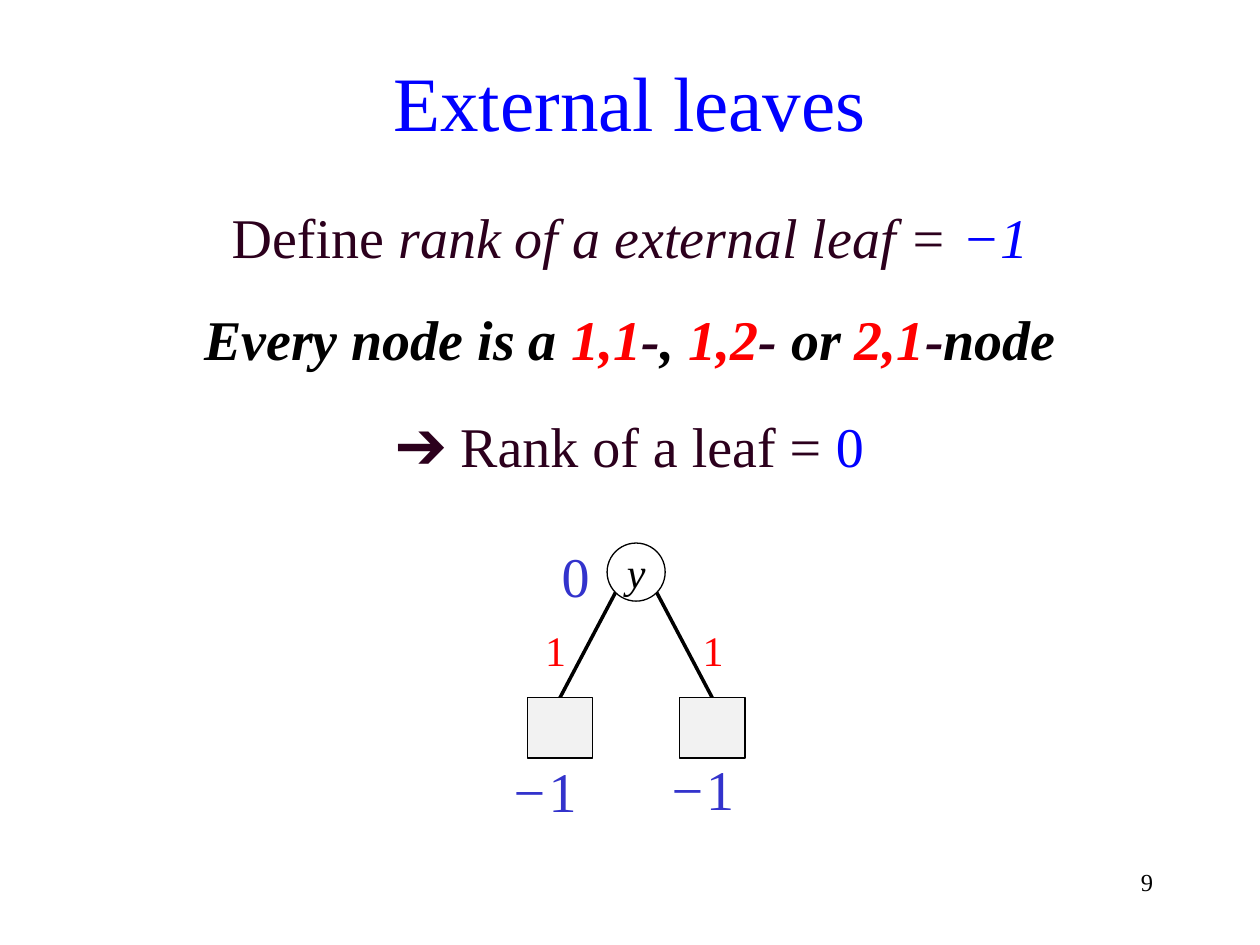
from lxml import etree
from pptx import Presentation
from pptx.dml.color import RGBColor
from pptx.enum import shapes, text
from pptx.oxml.ns import qn
from pptx.util import Pt

COLORS = {"blue": "0000FF", "plum": "2C001D", "black": "000000", "red": "FF0000",
          "rank": "3333CC", "leaf": "F2F2F2"}
FONT = "Times New Roman"
MIDDLE, TOP = text.MSO_ANCHOR.MIDDLE, text.MSO_ANCHOR.TOP
CENTER, RIGHT = text.PP_ALIGN.CENTER, text.PP_ALIGN.RIGHT

# Content: runs are (words, colour, style), style being any of "b" and "i"
STATEMENTS = [  # top, height, size, anchor, runs
    (24, 67.5, 44, MIDDLE, [("External leaves", "blue", "")]),
    (101, 67.5, 32, MIDDLE, [("Define ", "plum", ""),
                             ("rank of a external leaf = ", "plum", "i"),
                             ("−1", "blue", "i")]),
    (170.5, 46, 32, TOP, [("Every node is a ", "black", "bi"),
                          ("1,1", "red", "bi"), ("-", "plum", "bi"), (", ", "black", "bi"),
                          ("1,2", "red", "bi"), ("-", "plum", "bi"), (" or ", "black", "bi"),
                          ("2,1", "red", "bi"), ("-", "plum", "bi"), ("node", "black", "bi")]),
    (220.5, 67.5, 32, MIDDLE, [("➔ Rank of a leaf = ", "plum", ""), ("0", "blue", "")]),
]
MINUS_ONE = [("−", "rank", "i"), ("1", "rank", "")]
LABELS = [  # left, top, width, height, size, runs
    (308.5, 306, 41, 42, 32, [("0", "rank", "")]),
    (297, 353.5, 41, 32.5, 24, [("1", "red", "")]),
    (387, 353.5, 41, 32.5, 24, [("1", "red", "")]),
    (284.5, 428.5, 52.5, 42, 32, MINUS_ONE),
    (374.5, 427.5, 52.5, 42, 32, MINUS_ONE),
]
PAGE = [("9", "black", "")]

# Tree geometry
AXIS = 363.5
NODE_TOP, NODE_SIZE = 310.3, 33.2
LEAF_TOP, LEAF_W, LEAF_H = 398.7, 37.4, 34.5
LEAF_OFFSET = 43.5
EDGE_TOP, EDGE_OFFSET = 338.6, NODE_SIZE / 2 * 0.71

deck = Presentation()
deck.slide_width, deck.slide_height = Pt(720), Pt(540)
slide = deck.slides.add_slide(deck.slide_layouts[6])


def rgb(name):
    return RGBColor.from_string(COLORS[name])


def write(frame, runs, size, anchor=TOP, align=CENTER, **margins):
    settings = {"word_wrap": True, "vertical_anchor": anchor, **margins}
    for key, value in settings.items():
        setattr(frame, key, value)
    line = frame.paragraphs[0]
    line.alignment = align
    for words, color, style in runs:
        run = line.add_run()
        run.text = words
        formats = {"name": FONT, "size": Pt(size), "bold": "b" in style, "italic": "i" in style}
        for key, value in formats.items():
            setattr(run.font, key, value)
        run.font.color.rgb = rgb(color)


def add_text(left, top, width, height, size, runs, **options):
    box = slide.shapes.add_textbox(Pt(left), Pt(top), Pt(width), Pt(height))
    write(box.text_frame, runs, size, **options)


def add_outlined(kind, center, top, width, height, fill=None):
    shape = slide.shapes.add_shape(kind, Pt(center - width / 2), Pt(top), Pt(width), Pt(height))
    shape.shadow.inherit = False
    if fill:
        shape.fill.solid()
        shape.fill.fore_color.rgb = rgb(fill)
    else:
        shape.fill.background()
    shape.line.color.rgb = rgb("black")
    shape.line.width = Pt(0.75)
    return shape


# Title and statements
for top, height, size, anchor, runs in STATEMENTS:
    add_text(0, top, 720, height, size, runs, anchor=anchor)

# Root node
root = add_outlined(shapes.MSO_SHAPE.OVAL, AXIS, NODE_TOP, NODE_SIZE, NODE_SIZE)
write(root.text_frame, [("y", "black", "i")], 24, anchor=MIDDLE,
      margin_left=0, margin_right=0, margin_top=0, margin_bottom=0)

# Edges and external leaves, mirrored about the axis
for side in (-1, 1):
    leaf_center = AXIS + side * LEAF_OFFSET
    edge = slide.shapes.add_connector(
        shapes.MSO_CONNECTOR.STRAIGHT, Pt(AXIS + side * EDGE_OFFSET), Pt(EDGE_TOP),
        Pt(leaf_center), Pt(LEAF_TOP))
    edge.line.color.rgb = rgb("black")
    edge.line.width = Pt(2)
    etree.SubElement(edge._element.spPr, qn("a:effectLst"))
    add_outlined(shapes.MSO_SHAPE.RECTANGLE, leaf_center, LEAF_TOP, LEAF_W, LEAF_H, "leaf")

# Ranks and rank differences
for label in LABELS:
    add_text(*label)

# Page number
add_text(516, 492, 150, 36, 14, PAGE, align=RIGHT)

deck.save("out.pptx")
